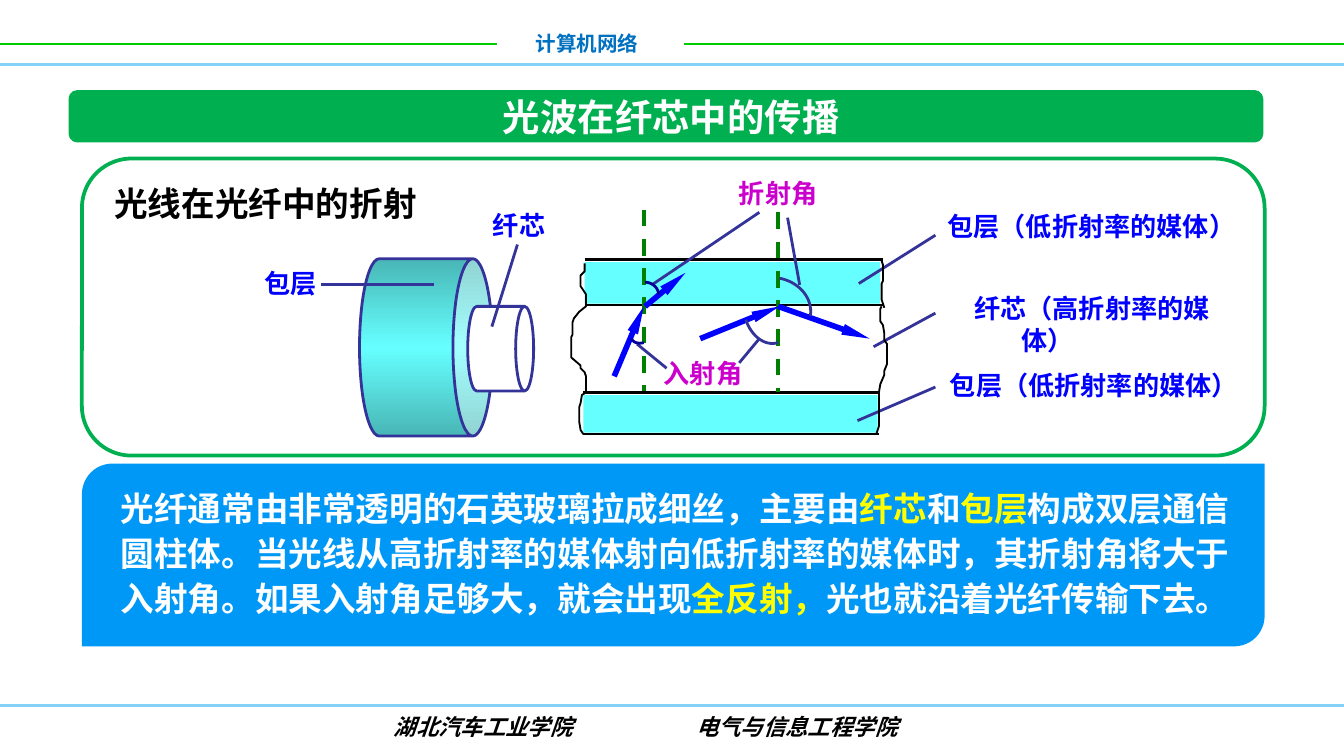
from copy import deepcopy
from lxml import etree
from pptx import Presentation
from pptx.dml.color import RGBColor
from pptx.enum.dml import MSO_LINE
from pptx.enum.shapes import MSO_CONNECTOR, MSO_SHAPE
from pptx.enum.text import MSO_ANCHOR, PP_ALIGN
from pptx.oxml.ns import qn
from pptx.util import Inches, Pt

CJK = "Noto Sans CJK SC"
BLUE, NAVY, PINK, BLACK = "0000FF", "333399", "CC00CC", "000000"
WHITE, YELLOW, GREEN, CYAN = "FFFFFF", "FFFF00", "00B050", "66FFFF"

# Widescreen page, 16 to 9
prs = Presentation()
prs.slide_width = Inches(10)
prs.slide_height = Inches(10 * 9 / 16)
slide = prs.slides.add_slide(prs.slide_layouts[6])
shapes = slide.shapes


def rgb(code):
    return RGBColor.from_string(code)


def write(box, runs, size, font=CJK, align=PP_ALIGN.LEFT, wrap=True):
    """Put one bold paragraph into a box and return it."""
    frame = shapes.add_textbox(*map(Inches, box)).text_frame
    frame.word_wrap = wrap
    par = frame.paragraphs[0]
    par.alignment = align
    for text, color in runs:
        run = par.add_run()
        run.text = text
        run.font.size, run.font.bold = Pt(size), True
        run.font.name = font
        run.font.color.rgb = rgb(color)
        if font == CJK:
            props = run.font._element
            etree.SubElement(props, qn("a:ea")).set("typeface", font)
    return par


# Main panels: kind, box, fill, line colour
panels = [
    (MSO_SHAPE.ROUNDED_RECTANGLE, (0.51, 0.67, 8.89, 0.39), GREEN, None),
    (MSO_SHAPE.ROUNDED_RECTANGLE, (0.61, 1.18, 8.8, 2.21), WHITE, GREEN),
    (MSO_SHAPE.ROUND_2_DIAG_RECTANGLE, (0.61, 3.45, 8.8, 1.36), "0098F6", None),
    (MSO_SHAPE.RECTANGLE, (4.35, 1.95, 2.2, 0.31), CYAN, None),
    (MSO_SHAPE.RECTANGLE, (4.34, 2.94, 2.19, 0.28), CYAN, None),
]
for kind, box, fill, edge in panels:
    panel = shapes.add_shape(kind, *map(Inches, box))
    panel.shadow.inherit = False
    panel.fill.solid()
    panel.fill.fore_color.rgb = rgb(fill)
    if edge:
        panel.line.color.rgb = rgb(edge)
        panel.line.width = Pt(2)
    else:
        panel.line.fill.background()

# Fibre: cladding and core cylinders lying on their side
for box, adj in [((2.51, 2.09, 1.32, 0.99), 0.298),
                 ((3.41, 2.35, 0.63, 0.49), 0.273)]:
    can = shapes.add_shape(MSO_SHAPE.CAN, *map(Inches, box))
    can.rotation = 90
    can.adjustments[0] = adj
    can.shadow.inherit = False
    can.line.color.rgb = rgb(NAVY)
    can.line.width = Pt(1.5)
    if adj == 0.298:
        can.fill.gradient()
        can.fill.gradient_angle = 0
        stops = can.fill._fill._gradFill.find(qn("a:gsLst"))
        stops.insert(1, deepcopy(stops[0]))
        for stop, (pos, color) in zip(can.fill.gradient_stops, [
                (0, "49B6B6"), (0.5, CYAN), (1, "49B6B6")]):
            stop.position = pos
            stop.color.rgb = rgb(color)
    else:
        can.fill.solid()
        can.fill.fore_color.rgb = rgb(WHITE)

# Straight lines: colour, width, style, list of (x1, y1, x2, y2)
groups = [
    ("00CC00", 1, "", [(0, 0.33, 3.7, 0.33), (5.09, 0.33, 10, 0.33)]),
    ("85D1F7", 2, "", [(0, 0.48, 10, 0.48)]),
    ("85D1F7", 1.5, "", [(0, 5.25, 10, 5.25)]),
    (BLACK, 1.5, "", [(4.35, 1.93, 6.57, 1.93), (4.35, 2.27, 6.57, 2.27),
                      (4.34, 2.92, 6.54, 2.92), (4.34, 3.23, 6.54, 3.23)]),
    ("008000", 2.25, "dash", [(4.79, 1.56, 4.79, 2.91),
                              (5.79, 1.58, 5.79, 2.92)]),
    (BLUE, 3, "arrow", [(4.57, 2.8, 4.79, 2.28), (4.8, 2.28, 5.1, 2.03),
                        (5.21, 2.52, 5.8, 2.28), (5.79, 2.28, 6.47, 2.52)]),
    (NAVY, 1.5, "", [(5.86, 1.62, 5.95, 2.12), (4.85, 2.12, 5.65, 1.58),
                     (4.74, 2.56, 4.96, 2.74), (5.5, 2.7, 5.65, 2.52),
                     (6.5, 2.58, 6.96, 2.33), (6.96, 1.75, 6.39, 2.11),
                     (6.96, 2.88, 6.38, 3.13), (2.39, 2.12, 3.23, 2.12),
                     (3.85, 1.82, 3.66, 2.43)]),
]
for color, width, style, lines in groups:
    for ends in lines:
        line = shapes.add_connector(MSO_CONNECTOR.STRAIGHT, *map(Inches, ends))
        line.line.color.rgb = rgb(color)
        line.line.width = Pt(width)
        if style == "dash":
            line.line.dash_style = MSO_LINE.DASH
        elif style == "arrow":
            etree.SubElement(line.line._get_or_add_ln(), qn("a:tailEnd"),
                             type="triangle", w="sm", len="lg")
        etree.SubElement(line._element.spPr, qn("a:effectLst"))

# Torn edges of the cut fibre
curves = [(BLACK, 1, pts) for pts in [
    [(4.35, 1.96), (4.35, 2.02), (4.32, 2.05), (4.32, 2.13), (4.36, 2.19),
     (4.36, 2.28), (4.31, 2.32), (4.27, 2.37), (4.26, 2.4), (4.26, 2.49),
     (4.25, 2.51), (4.25, 2.66), (4.32, 2.72), (4.32, 2.74), (4.35, 2.77),
     (4.36, 2.8), (4.36, 2.92), (4.33, 2.94), (4.32, 3), (4.31, 3.03),
     (4.31, 3.14), (4.32, 3.2), (4.34, 3.23)],
    [(6.56, 1.94), (6.57, 1.97), (6.57, 2.09), (6.56, 2.11), (6.56, 2.23),
     (6.58, 2.29)],
    [(6.56, 2.28), (6.55, 2.3), (6.55, 2.39), (6.57, 2.42), (6.58, 2.48),
     (6.58, 2.53), (6.6, 2.56), (6.6, 2.71), (6.58, 2.76), (6.58, 2.79),
     (6.55, 2.86), (6.54, 2.92)],
    [(6.54, 2.91), (6.54, 3.17), (6.52, 3.23)],
]]

# Angle arcs: cubic curves sampled at equal steps
STEPS = 16
for color, ctrl in [
    ("000099", [(4.79, 2.55), (4.75, 2.56), (4.71, 2.55), (4.7, 2.52)]),
    ("000099", [(4.8, 2.1), (4.85, 2.1), (4.9, 2.14), (4.9, 2.19)]),
    (NAVY, [(5.79, 2.55), (5.69, 2.58), (5.59, 2.5), (5.55, 2.38)]),
    (NAVY, [(5.8, 2.07), (5.95, 2.1), (6.05, 2.22), (6.03, 2.35)]),
]:
    pts = []
    for step in range(STEPS + 1):
        t = step / STEPS
        mix = ((1 - t) ** 3, 3 * t * (1 - t) ** 2, 3 * t * t * (1 - t), t ** 3)
        pts.append([sum(m * c[axis] for m, c in zip(mix, ctrl))
                    for axis in (0, 1)])
    curves.append((color, 1.5, pts))

for color, width, pts in curves:
    spots = [(Inches(x), Inches(y)) for x, y in pts]
    pen = shapes.build_freeform(*spots[0])
    pen.add_line_segments(spots[1:], close=False)
    curve = pen.convert_to_shape()
    curve.shadow.inherit = False
    curve.fill.background()
    curve.line.color.rgb = rgb(color)
    curve.line.width = Pt(width)

# Diagram labels
for text, color, x, y, w in [
    ("折射角", PINK, 5.4, 1.27, 0.79),
    ("入射角", PINK, 4.84, 2.61, 0.83),
    ("包层", BLUE, 1.87, 1.94, 0.59),
    ("纤芯", BLUE, 3.57, 1.51, 0.7),
    ("包层（低折射率的媒体）", BLUE, 6.95, 1.52, 2.39),
    ("包层（低折射率的媒体）", BLUE, 6.97, 2.7, 2.36),
]:
    write((x, y, w, 0.34), [(text, color)], 14, wrap=False)
core = write((7.15, 2.13, 2.05, 0.57), [("纤芯（高折射率的媒体）", BLUE)], 14)
props = core._p.get_or_add_pPr()
props.set("marL", str(Inches(0.35)))
props.set("indent", str(-Inches(0.35)))

# Header, title and heading
write((3.88, 0.18, 0.97, 0.29), [("计算机网络", "0070C0")], 11,
      align=PP_ALIGN.RIGHT, wrap=False)
title = write((1.37, 0.67, 7.25, 0.39), [("光波在纤芯中的传播", WHITE)], 20,
              align=PP_ALIGN.CENTER)
title._parent.vertical_anchor = MSO_ANCHOR.MIDDLE
write((0.72, 1.31, 2.51, 0.4), [("光线在光纤中的折射", BLACK)], 18,
      align=PP_ALIGN.CENTER)

# Explanation
body = write((0.8, 3.55, 8.53, 1.11), [
    ("光纤通常由非常透明的石英玻璃拉成细丝，主要由", WHITE),
    ("纤芯", YELLOW), ("和", WHITE), ("包层", YELLOW),
    ("构成双层通信圆柱体。当光线从高折射率的媒体射向低折射率的媒体时，"
     "其折射角将大于入射角。如果入射角足够大，就会出现", WHITE),
    ("全反射，", YELLOW), ("光也就沿着光纤传输下去。", WHITE)], 18)
body.line_spacing = Pt(24)

# Footer: two names set apart by a tab stop
foot = write((1.02, 5.26, 7.56, 0.3),
             [("湖北汽车工业学院\t电气与信息工程学院", BLACK)], 12, font="Arial")
foot._parent.margin_left = Inches(1.91)
foot.runs[0].font.italic = True
tabs = etree.SubElement(foot._p.get_or_add_pPr(), qn("a:tabLst"))
etree.SubElement(tabs, qn("a:tab"), pos=str(Inches(2.25)), algn="l")

prs.save("out.pptx")
